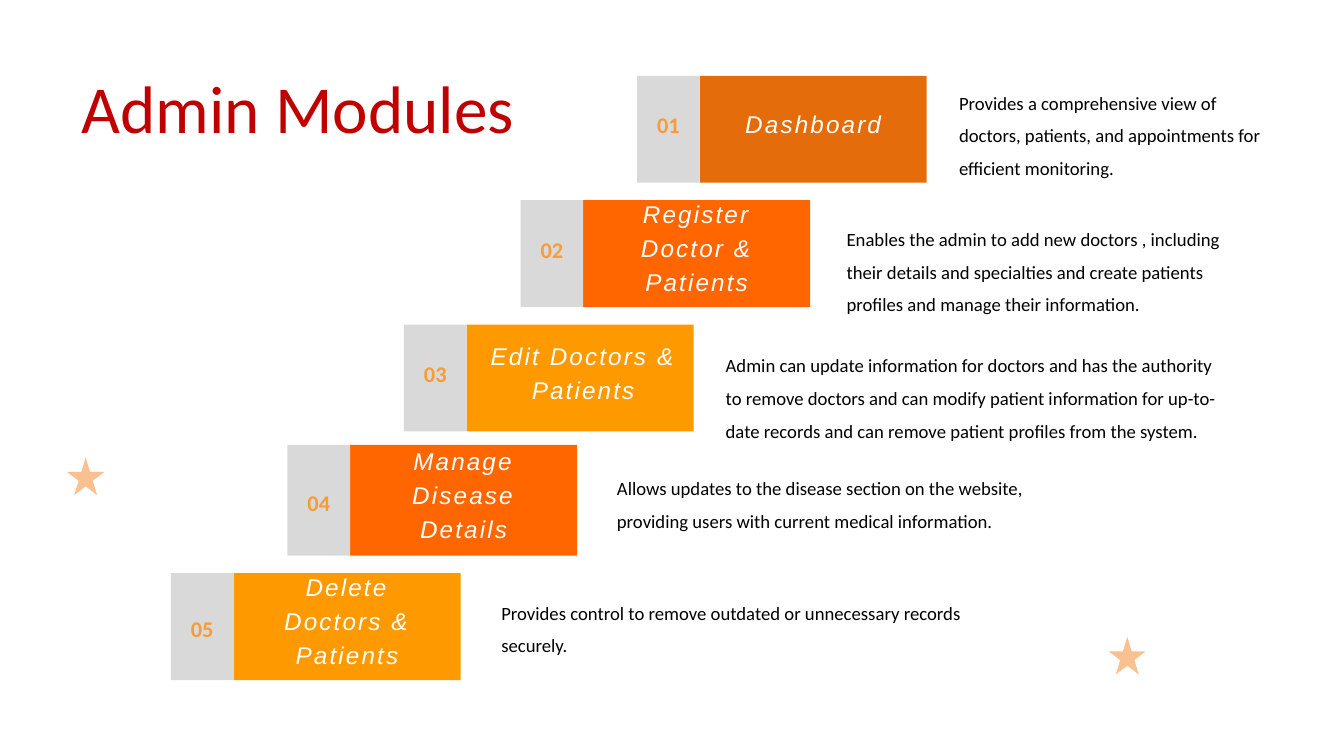
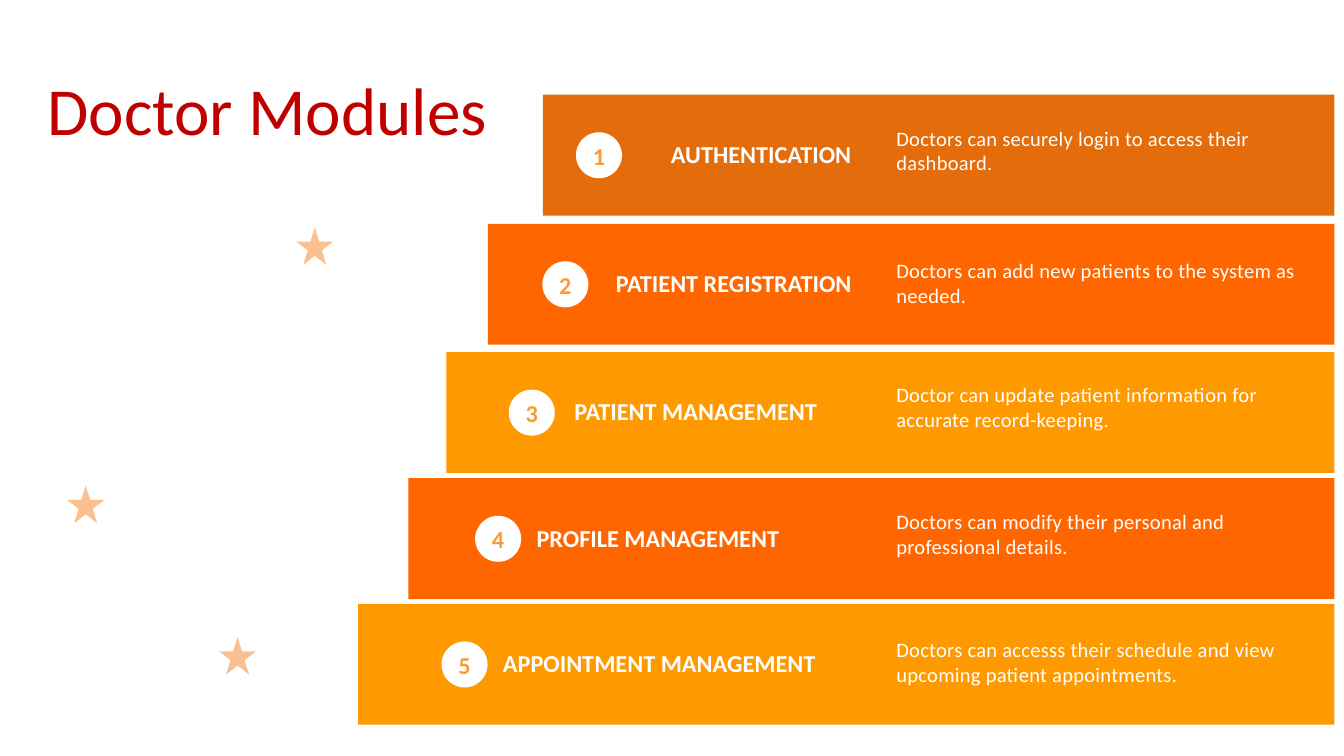
"""Build the Admin Modules and Doctor Modules slides as staircases of coloured blocks."""
from dataclasses import dataclass

from pptx import Presentation
from pptx.dml.color import RGBColor
from pptx.enum.shapes import MSO_SHAPE
from pptx.enum.text import MSO_ANCHOR, MSO_AUTO_SIZE, PP_ALIGN
from pptx.shapes.autoshape import Shape
from pptx.slide import Slide
from pptx.util import Cm, Pt

RECTANGLE, OVAL, STAR = MSO_SHAPE.RECTANGLE, MSO_SHAPE.OVAL, MSO_SHAPE.STAR_5_POINT
TOP, MIDDLE = MSO_ANCHOR.TOP, MSO_ANCHOR.MIDDLE
LEFT, CENTER = PP_ALIGN.LEFT, PP_ALIGN.CENTER
FIT_SHAPE = MSO_AUTO_SIZE.SHAPE_TO_FIT_TEXT

WHITE = RGBColor(0xFF, 0xFF, 0xFF)
BLACK = RGBColor(0x00, 0x00, 0x00)
TITLE_RED = RGBColor(0xC0, 0x00, 0x00)
RUST = RGBColor(0xE4, 0x6C, 0x0A)
ORANGE = RGBColor(0xFF, 0x66, 0x00)
AMBER = RGBColor(0xFF, 0x99, 0x00)
NUMBER_ORANGE = RGBColor(0xF7, 0x9C, 0x37)
TILE_GREY = RGBColor(0xD9, 0xD9, 0xD9)
STAR_PEACH = RGBColor(0xFA, 0xC0, 0x90)
STEP_COLORS = (RUST, ORANGE, AMBER, ORANGE, AMBER)


@dataclass(frozen=True)
class Box:
    """Place and size in centimetres."""
    left: float
    top: float
    width: float
    height: float


@dataclass(frozen=True)
class Insets:
    """Text margins in centimetres."""
    left: float = 0
    top: float = 0
    right: float = 0
    bottom: float = 0


@dataclass(frozen=True)
class TextStyle:
    """Look of a paragraph, with sizes in points."""
    size: float
    color: RGBColor
    line_spacing: float | None = None
    alignment: PP_ALIGN = LEFT
    font: str = "Calibri"
    bold: bool = False
    italic: bool = False
    tracking: float = 0


@dataclass(frozen=True)
class AdminModule:
    """One step of the admin staircase."""
    label: str
    description: str
    description_box: Box
    extra_height: float = 0
    label_right_inset: float = 0.71
    number_lift: float = 0.51


@dataclass(frozen=True)
class DoctorModule:
    """One bar of the doctor staircase."""
    label: str
    description: str
    left: float
    top: float
    description_top: float
    label_inset: float = 4.84


TITLE = TextStyle(72, TITLE_RED)
ADMIN_LABEL = TextStyle(26, WHITE, 36.4, CENTER, "Arial", italic=True, tracking=2.3)
ADMIN_NUMBER = TextStyle(24, NUMBER_ORANGE, 33.6, CENTER, bold=True)
ADMIN_DESCRIPTION = TextStyle(20, BLACK, 35)
DOCTOR_LABEL = TextStyle(26, WHITE, 31.2, bold=True)
DOCTOR_NUMBER = TextStyle(26, NUMBER_ORANGE, 36.4, CENTER, bold=True)
DOCTOR_DESCRIPTION = TextStyle(22, WHITE, 26.4, tracking=0.3)

TILE_WIDTH, LABEL_WIDTH, STEP_HEIGHT = 2.37, 8.58, 4.04
BAR_RIGHT, BAR_HEIGHT, CIRCLE_SIZE = 50.44, 4.57, 1.74

ADMIN_MODULES = (
    AdminModule("Dashboard",
                "Provides a comprehensive view of doctors, patients, and appointments "
                "for efficient monitoring.", Box(36.25, 3.07, 11.71, 3.61)),
    AdminModule("Register Doctor & Patients",
                "Enables the admin to add new doctors , including their details and "
                "specialties and create patients profiles and manage their information.",
                Box(32, 8.23, 14.12, 3.61)),
    AdminModule("Edit Doctors & Patients",
                "Admin can update information for doctors and has the authority to remove "
                "doctors and can modify patient information for up-to-date records and can "
                "remove patient profiles from the system.",
                Box(27.43, 13, 18.72, 4.85), label_right_inset=0.48),
    AdminModule("Manage Disease Details",
                "Allows updates to the disease section on the website, providing users "
                "with current medical information.",
                Box(23.32, 17.65, 16.05, 2.36), extra_height=0.15, number_lift=0),
    AdminModule("Delete Doctors & Patients",
                "Provides control to remove outdated or unnecessary records securely.",
                Box(18.95, 22.35, 17.88, 3.61), number_lift=0),
)

DOCTOR_MODULES = (
    DoctorModule("AUTHENTICATION", "Doctors can securely login to access their dashboard.",
                 20.52, 3.58, 4.75),
    DoctorModule("PATIENT REGISTRATION",
                 "Doctors can add new patients to the system as needed.",
                 18.44, 8.46, 9.75),
    DoctorModule("PATIENT MANAGEMENT",
                 "Doctor can update patient information for accurate record-keeping.",
                 16.87, 13.31, 14.45),
    DoctorModule("PROFILE MANAGEMENT",
                 "Doctors can modify their personal and professional details.",
                 15.44, 18.08, 19.25),
    DoctorModule("APPOINTMENT MANAGEMENT",
                 "Doctors can accesss their schedule and view upcoming patient appointments.",
                 13.54, 22.83, 24.08, label_inset=5.47),
)


def lengths(box: Box) -> tuple[Cm, Cm, Cm, Cm]:
    """Return the box as four lengths."""
    return Cm(box.left), Cm(box.top), Cm(box.width), Cm(box.height)


def write_text(shape: Shape, text: str, style: TextStyle, insets: Insets,
               anchor: MSO_ANCHOR) -> None:
    """Write one styled paragraph into a shape."""
    frame = shape.text_frame
    frame.word_wrap = True
    frame.vertical_anchor = anchor
    frame.margin_left, frame.margin_top = Cm(insets.left), Cm(insets.top)
    frame.margin_right, frame.margin_bottom = Cm(insets.right), Cm(insets.bottom)
    paragraph = frame.paragraphs[0]
    paragraph.text = text
    paragraph.alignment = style.alignment
    if style.line_spacing:
        paragraph.line_spacing = Pt(style.line_spacing)
    font = paragraph.font
    font.name, font.size = style.font, Pt(style.size)
    font.bold, font.italic = style.bold, style.italic
    font.color.rgb = style.color
    if style.tracking:
        properties = paragraph._p.get_or_add_pPr().get_or_add_defRPr()
        properties.set("spc", str(round(style.tracking * 100)))


def add_block(slide: Slide, kind: MSO_SHAPE, box: Box, color: RGBColor) -> Shape:
    """Add a flat filled shape without outline."""
    shape = slide.shapes.add_shape(kind, *lengths(box))
    shape.shadow.inherit = False
    shape.fill.solid()
    shape.fill.fore_color.rgb = color
    shape.line.fill.background()
    return shape


def add_text(slide: Slide, text: str, box: Box, style: TextStyle,
             insets: Insets = Insets()) -> None:
    """Add a text box that grows with its text."""
    shape = slide.shapes.add_textbox(*lengths(box))
    write_text(shape, text, style, insets, TOP)
    shape.text_frame.auto_size = FIT_SHAPE


def add_title(slide: Slide, text: str, box: Box) -> None:
    """Add the slide title."""
    add_text(slide, text, box, TITLE, Insets(0.25, 0.13, 0.25, 0.13))


def add_stars(slide: Slide, positions: tuple[tuple[float, float], ...]) -> None:
    """Scatter decorative stars."""
    for left, top in positions:
        add_block(slide, STAR, Box(left, top, 1.4, 1.42), STAR_PEACH)


def add_admin_step(slide: Slide, index: int, module: AdminModule) -> None:
    """Add a numbered tile, its label block and its description."""
    left = 24.08 - 4.405 * index
    top = 2.87 + 4.7 * index - module.extra_height
    height = STEP_HEIGHT + module.extra_height
    label = add_block(slide, RECTANGLE, Box(left + TILE_WIDTH, top, LABEL_WIDTH, height),
                      STEP_COLORS[index])
    write_text(label, module.label, ADMIN_LABEL,
               Insets(0.71, 0.1, module.label_right_inset, 0.71), MIDDLE)
    tile = add_block(slide, RECTANGLE, Box(left, top, TILE_WIDTH, height), TILE_GREY)
    write_text(tile, f"{index + 1:02}", ADMIN_NUMBER,
               Insets(0.15, 0, 0.15, module.number_lift), MIDDLE)
    add_text(slide, module.description, module.description_box, ADMIN_DESCRIPTION)


def add_doctor_bar(slide: Slide, index: int, module: DoctorModule) -> None:
    """Add a bar with its numbered circle, label and description."""
    bar_box = Box(module.left, module.top, BAR_RIGHT - module.left, BAR_HEIGHT)
    bar = add_block(slide, RECTANGLE, bar_box, STEP_COLORS[index])
    write_text(bar, module.label, DOCTOR_LABEL,
               Insets(module.label_inset, 0.61, 0.71, 0.71), MIDDLE)
    circle_box = Box(21.77 - 1.27 * index, module.top + 1.42, CIRCLE_SIZE, CIRCLE_SIZE)
    circle = add_block(slide, OVAL, circle_box, WHITE)
    write_text(circle, str(index + 1), DOCTOR_NUMBER, Insets(bottom=0.15), MIDDLE)
    add_text(slide, module.description, Box(33.88, module.description_top, 16.54, 1.85),
             DOCTOR_DESCRIPTION)


def main() -> None:
    """Build both slides and save the presentation."""
    presentation = Presentation()
    presentation.slide_width, presentation.slide_height = Cm(50.8), Cm(28.58)
    blank = presentation.slide_layouts[6]

    admin_slide = presentation.slides.add_slide(blank)
    for index, module in enumerate(ADMIN_MODULES):
        add_admin_step(admin_slide, index, module)
    add_title(admin_slide, "Admin Modules", Box(2.84, 2.36, 17.35, 3.33))
    add_stars(admin_slide, ((2.54, 17.3), (41.91, 24.08)))

    doctor_slide = presentation.slides.add_slide(blank)
    for index, module in enumerate(DOCTOR_MODULES):
        add_doctor_bar(doctor_slide, index, module)
    add_title(doctor_slide, "Doctor Modules", Box(1.55, 2.46, 17.83, 3.33))
    add_stars(doctor_slide, ((11.2, 8.59), (2.54, 18.36), (8.28, 24.08)))

    presentation.save("out.pptx")


if __name__ == "__main__":
    main()
